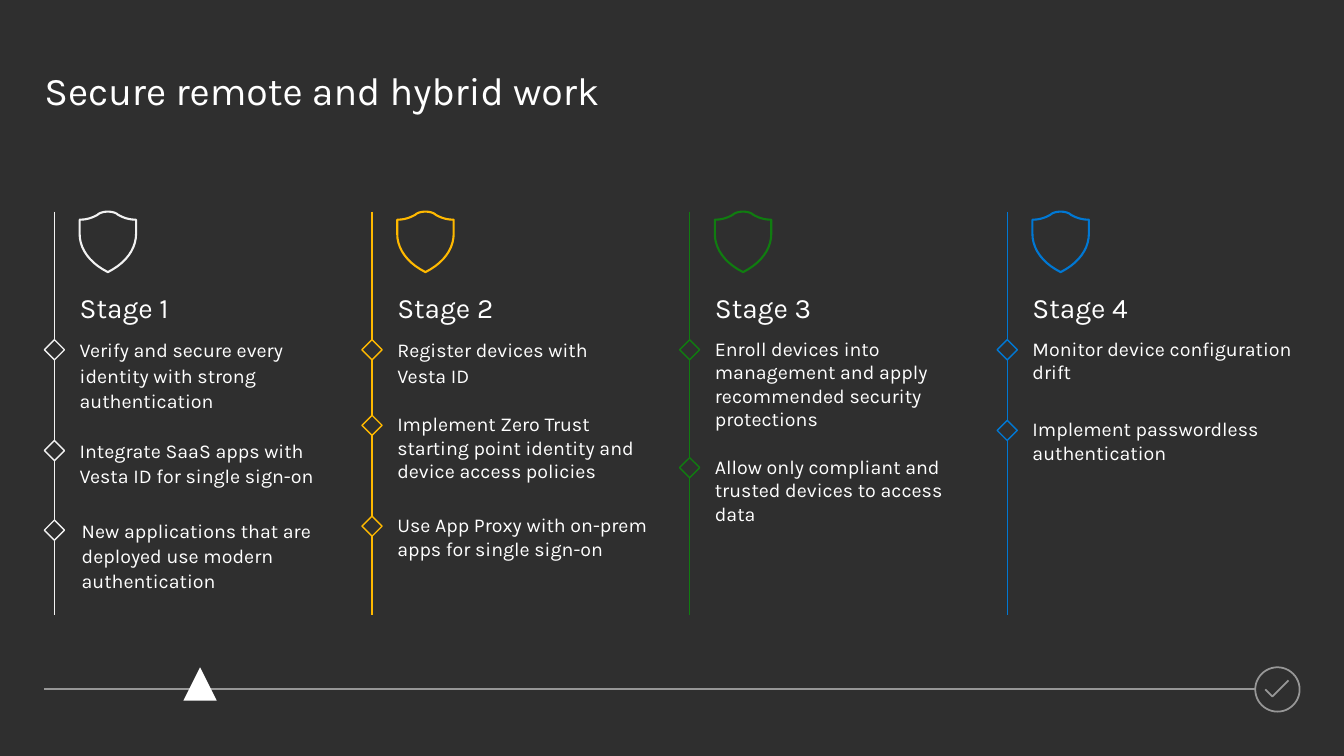
from pptx import Presentation
from pptx.dml.color import RGBColor
from pptx.enum.shapes import MSO_CONNECTOR, MSO_SHAPE
from pptx.enum.text import MSO_ANCHOR, MSO_AUTO_SIZE, PP_ALIGN
from pptx.oxml.ns import qn
from pptx.util import Inches, Pt
from lxml import etree

DARK = RGBColor(0x2F, 0x2F, 0x2F)
WHITE = RGBColor(0xFF, 0xFF, 0xFF)
PALE = RGBColor(0xF2, 0xF2, 0xF2)
GOLD = RGBColor(0xFF, 0xB9, 0x00)
GREEN = RGBColor(0x10, 0x7C, 0x10)
BLUE = RGBColor(0x00, 0x78, 0xD4)
GRAY = RGBColor(0x97, 0x97, 0x97)

# Each item: left shift, top, line spacing, text
STAGES = [
    (PALE, [
        (0, 3.34, 1.07, "Verify and secure every identity with strong authentication"),
        (0, 4.34, 1.07, "Integrate SaaS apps with Vesta ID for single sign-on"),
        (0.02, 5.13, 1.07, "New applications that are deployed use modern authentication"),
    ]),
    (GOLD, [
        (0, 3.34, 1.07, "Register devices with \nVesta ID"),
        (0, 4.09, 1, "Implement Zero Trust starting point identity and device access policies"),
        (0, 5.09, 1, "Use App Proxy with on-prem apps for single sign-on"),
    ]),
    (GREEN, [
        (0, 3.34, 1, "Enroll devices into management and apply recommended security protections"),
        (0, 4.51, 1, "Allow only compliant and trusted devices to access data"),
    ]),
    (BLUE, [
        (0, 3.34, 1, "Monitor device configuration drift"),
        (0, 4.14, 1, "Implement passwordless authentication"),
    ]),
]

# Right half of the shield, from top centre to bottom tip, as Bézier curves
CURVES = [
    ((0, 0), (0.04, 0), (0.08, 0.01), (0.1, 0.03)),
    ((0.1, 0.03), (0.15, 0.06), (0.21, 0.08), (0.28, 0.08)),
    ((0.28, 0.22), (0.28, 0.37), (0.18, 0.51), (0, 0.6)),
]
STEPS = 10


def write(shape, text, size, spacing=1):
    """Fill a text frame with one left-aligned paragraph, without margins."""
    frame = shape.text_frame
    frame.word_wrap = True
    frame.auto_size = MSO_AUTO_SIZE.NONE
    frame.vertical_anchor = MSO_ANCHOR.TOP
    frame.margin_left = frame.margin_right = 0
    frame.margin_top = frame.margin_bottom = 0
    para = frame.paragraphs[0]
    para.alignment = PP_ALIGN.LEFT
    para.line_spacing = spacing
    for row, part in enumerate(text.split("\n")):
        if row:
            para.add_line_break()
        run = para.add_run()
        run.text = part
        run.font.name = "Karla"
        run.font.size = Pt(size)
        run.font.color.rgb = WHITE


def style(shape, color, width, fill=None):
    """Set the outline and fill of a shape or connector, without a shadow."""
    shape.line.color.rgb = color
    shape.line.width = Pt(width)
    if not hasattr(shape, "fill"):
        etree.SubElement(shape._element.spPr, qn("a:effectLst"))
        return
    shape.shadow.inherit = False
    if fill is None:
        shape.fill.background()
    else:
        shape.fill.solid()
        shape.fill.fore_color.rgb = fill


deck = Presentation()
deck.slide_width = Inches(13.33)
deck.slide_height = Inches(7.5)
slide = deck.slides.add_slide(deck.slide_layouts[5])
slide.background.fill.solid()
slide.background.fill.fore_color.rgb = DARK
shapes = slide.shapes

title = shapes.title
title.left, title.top = Inches(0.44), Inches(0.66)
title.width, title.height = Inches(6.42), Inches(0.47)
write(title, "Secure remote and hybrid work", 28)

half = []
for a, b, c, d in CURVES:
    for step in range(STEPS + 1):
        t = step / STEPS
        u = 1 - t
        half.append(tuple(
            u**3 * a[k] + 3 * u * u * t * b[k] + 3 * u * t * t * c[k] + t**3 * d[k]
            for k in (0, 1)
        ))
outline = half + [(-x, y) for x, y in reversed(half)]

for col, (color, items) in enumerate(STAGES):
    axis = 0.54 + 3.15 * col
    left = axis + 0.25

    line = shapes.add_connector(
        MSO_CONNECTOR.STRAIGHT, Inches(axis), Inches(2.1), Inches(axis), Inches(6.1))
    style(line, color, 1)

    points = [(Inches(left + 0.28 + x), Inches(2.1 + y)) for x, y in outline]
    pen = shapes.build_freeform(*points[0])
    pen.add_line_segments(points[1:], close=True)
    style(pen.convert_to_shape(), color, 1.5, DARK)

    head = shapes.add_textbox(Inches(left), Inches(2.86), Inches(2.65), Inches(0.33))
    write(head, f"Stage {col + 1}", 20, 1.07)

    for shift, top, spacing, text in items:
        mark = shapes.add_shape(
            MSO_SHAPE.DIAMOND, Inches(axis - 0.1), Inches(top + 0.03), Inches(0.2), Inches(0.2))
        style(mark, color, 1, DARK)
        box = shapes.add_textbox(
            Inches(left + shift), Inches(top), Inches(2.65), Inches(0.74))
        write(box, text, 14, spacing)

track = shapes.add_connector(
    MSO_CONNECTOR.STRAIGHT, Inches(12.45), Inches(6.84), Inches(0.44), Inches(6.84))
style(track, GRAY, 1.5)

goal = shapes.add_shape(
    MSO_SHAPE.OVAL, Inches(12.45), Inches(6.62), Inches(0.44), Inches(0.44))
style(goal, GRAY, 1.25, DARK)

pen = shapes.build_freeform(Inches(12.55), Inches(6.84))
pen.add_line_segments(
    [(Inches(12.62), Inches(6.91)), (Inches(12.78), Inches(6.75))], close=False)
style(pen.convert_to_shape(), GRAY, 1.25)

pointer = shapes.add_shape(
    MSO_SHAPE.ISOSCELES_TRIANGLE, Inches(1.82), Inches(6.62), Inches(0.33), Inches(0.33))
pointer.shadow.inherit = False
pointer.fill.solid()
pointer.fill.fore_color.rgb = WHITE
pointer.line.fill.background()

deck.save("out.pptx")
